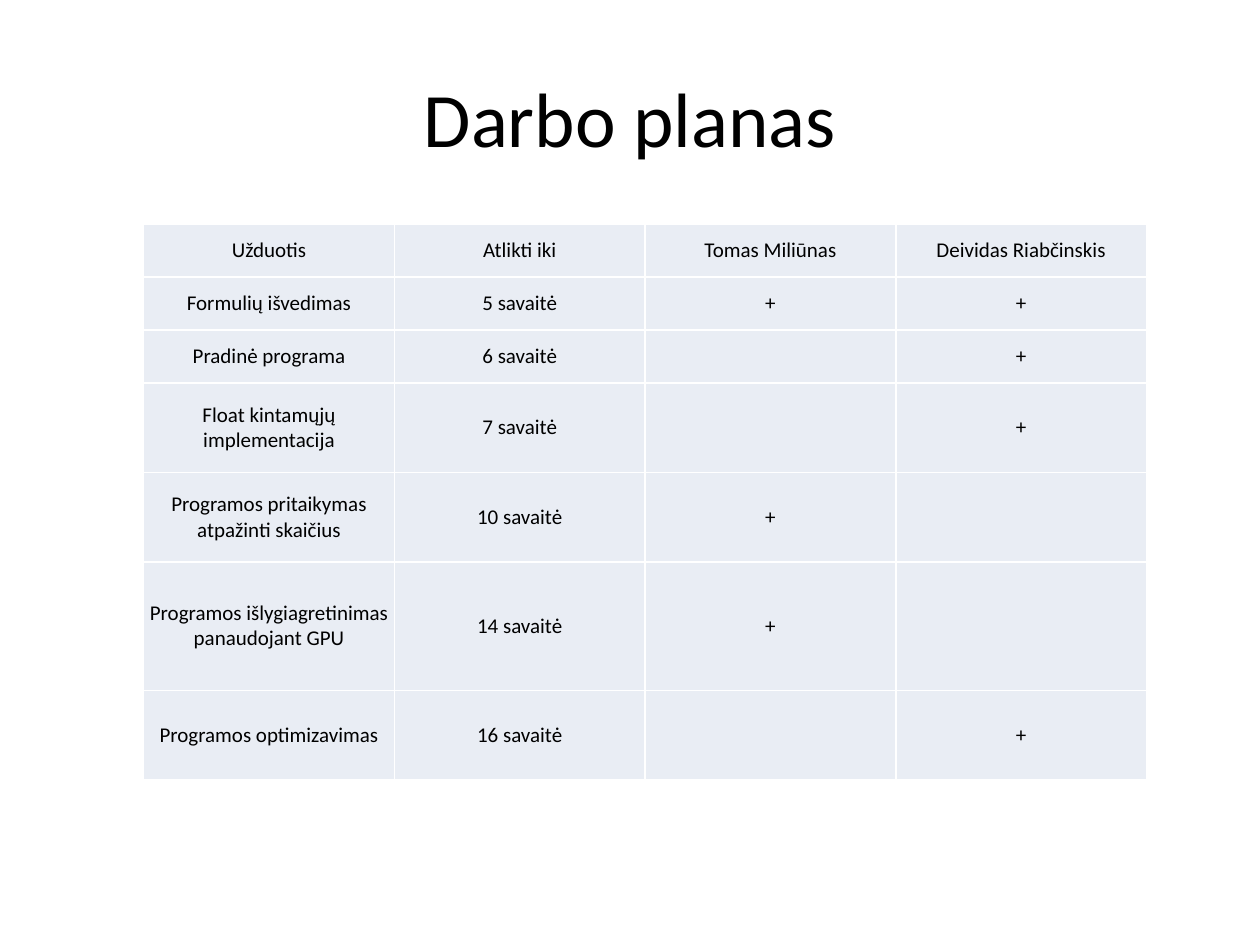
from dataclasses import dataclass

from lxml import etree
from pptx import Presentation
from pptx.dml.color import RGBColor
from pptx.enum.text import MSO_ANCHOR, PP_ALIGN
from pptx.oxml.ns import qn
from pptx.util import Inches, Pt

MIDDLE = MSO_ANCHOR.MIDDLE
CENTER = PP_ALIGN.CENTER
FONT = "Calibri"
BLACK, WHITE, CELL_FILL = "000000", "FFFFFF", "E9EDF4"
BLANK_LAYOUT = 6
COLUMN_WIDTH = 1.99
CELL_FORMAT = {
    "vertical_anchor": MIDDLE,
    "margin_left": Inches(0.04),
    "margin_right": Inches(0.04),
    "margin_top": Inches(0.04),
    "margin_bottom": Inches(0.04),
}


@dataclass
class PlanRow:
    texts: tuple[str, str, str, str]
    height: float = 0.42


PLAN = [
    PlanRow(("Užduotis", "Atlikti iki", "Tomas Miliūnas", "Deividas Riabčinskis")),
    PlanRow(("Formulių išvedimas", "5 savaitė", "+", "+")),
    PlanRow(("Pradinė programa", "6 savaitė", "", "+")),
    PlanRow(("Float kintamųjų implementacija", "7 savaitė", "", "+"), 0.71),
    PlanRow(("Programos pritaikymas atpažinti skaičius", "10 savaitė", "+", ""), 0.71),
    PlanRow(("Programos išlygiagretinimas panaudojant GPU", "14 savaitė", "+", ""), 1.02),
    PlanRow(("Programos optimizavimas", "16 savaitė", "", "+"), 0.71),
]


def color(value: str) -> RGBColor:
    return RGBColor.from_string(value)


def write_centered(text_frame, text: str, size: float) -> None:
    paragraph = text_frame.paragraphs[0]
    paragraph.alignment = CENTER
    paragraph.font.size = Pt(size)
    if not text:
        return
    run = paragraph.add_run()
    run.text = text
    for name, value in {"name": FONT, "size": Pt(size)}.items():
        setattr(run.font, name, value)
    run.font.color.rgb = color(BLACK)


def add_borders(cell, border_color: str, width: float) -> None:
    properties = cell._tc.get_or_add_tcPr()
    for side in ("lnL", "lnR", "lnT", "lnB"):
        line = etree.SubElement(properties, qn(f"a:{side}"), w=str(Pt(width)))
        fill = etree.SubElement(line, qn("a:solidFill"))
        etree.SubElement(fill, qn("a:srgbClr"), val=border_color)


def format_cell(cell, text: str) -> None:
    for name, value in CELL_FORMAT.items():
        setattr(cell, name, value)
    add_borders(cell, WHITE, 1)
    cell.fill.solid()
    cell.fill.fore_color.rgb = color(CELL_FILL)
    write_centered(cell.text_frame, text, 12)


def add_title(slide, text: str) -> None:
    title = slide.shapes.add_textbox(Inches(0.5), Inches(0.3), Inches(9), Inches(1.25))
    title.text_frame.word_wrap = True
    title.text_frame.vertical_anchor = MIDDLE
    write_centered(title.text_frame, text, 44)


def add_plan_table(slide, plan: list[PlanRow]) -> None:
    column_count = len(plan[0].texts)
    table = slide.shapes.add_table(
        len(plan), column_count, Inches(1.14), Inches(1.78),
        Inches(COLUMN_WIDTH * column_count), Inches(sum(row.height for row in plan)),
    ).table
    table.first_row = table.horz_banding = False
    for column in table.columns:
        column.width = Inches(COLUMN_WIDTH)
    for table_row, plan_row in zip(table.rows, plan):
        table_row.height = Inches(plan_row.height)
        for cell, text in zip(table_row.cells, plan_row.texts):
            format_cell(cell, text)


def main() -> None:
    presentation = Presentation()
    presentation.slide_width = Inches(10)
    presentation.slide_height = Inches(7.5)
    slide = presentation.slides.add_slide(presentation.slide_layouts[BLANK_LAYOUT])
    add_title(slide, "Darbo planas")
    add_plan_table(slide, PLAN)
    presentation.save("out.pptx")


if __name__ == "__main__":
    main()
